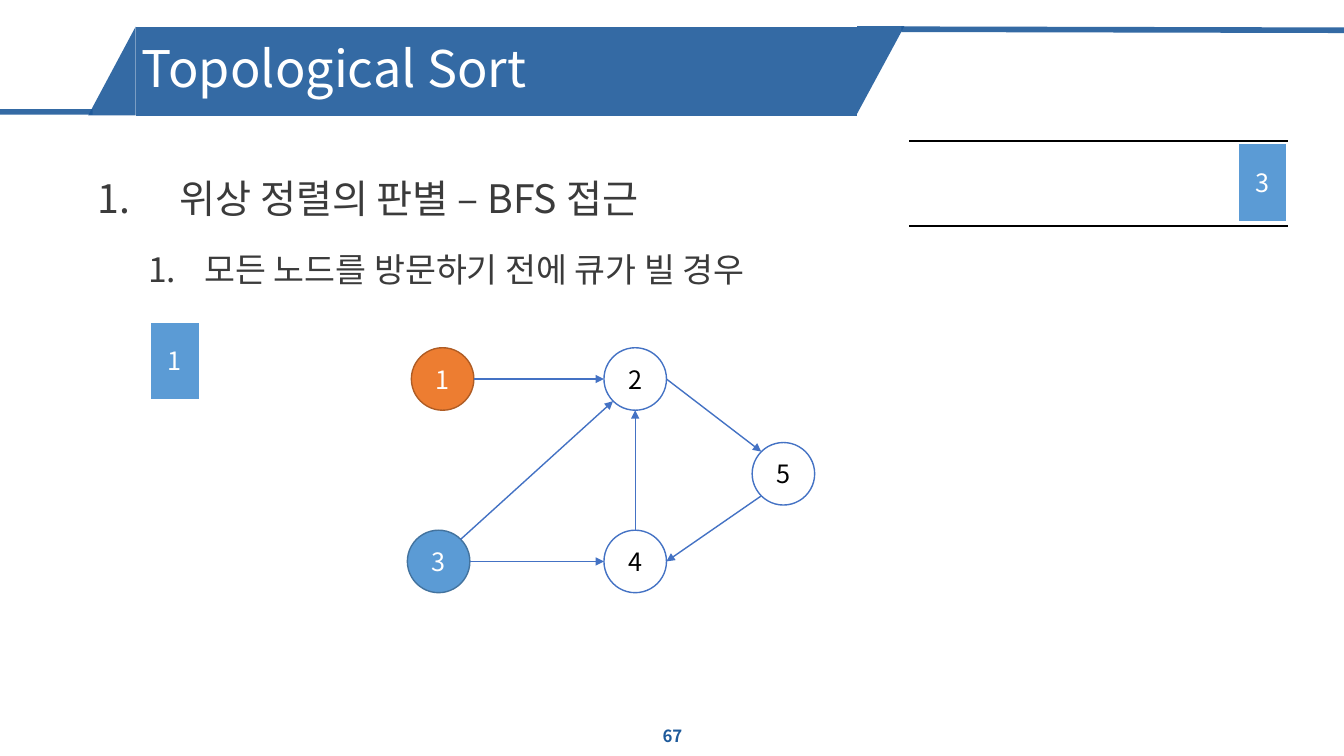
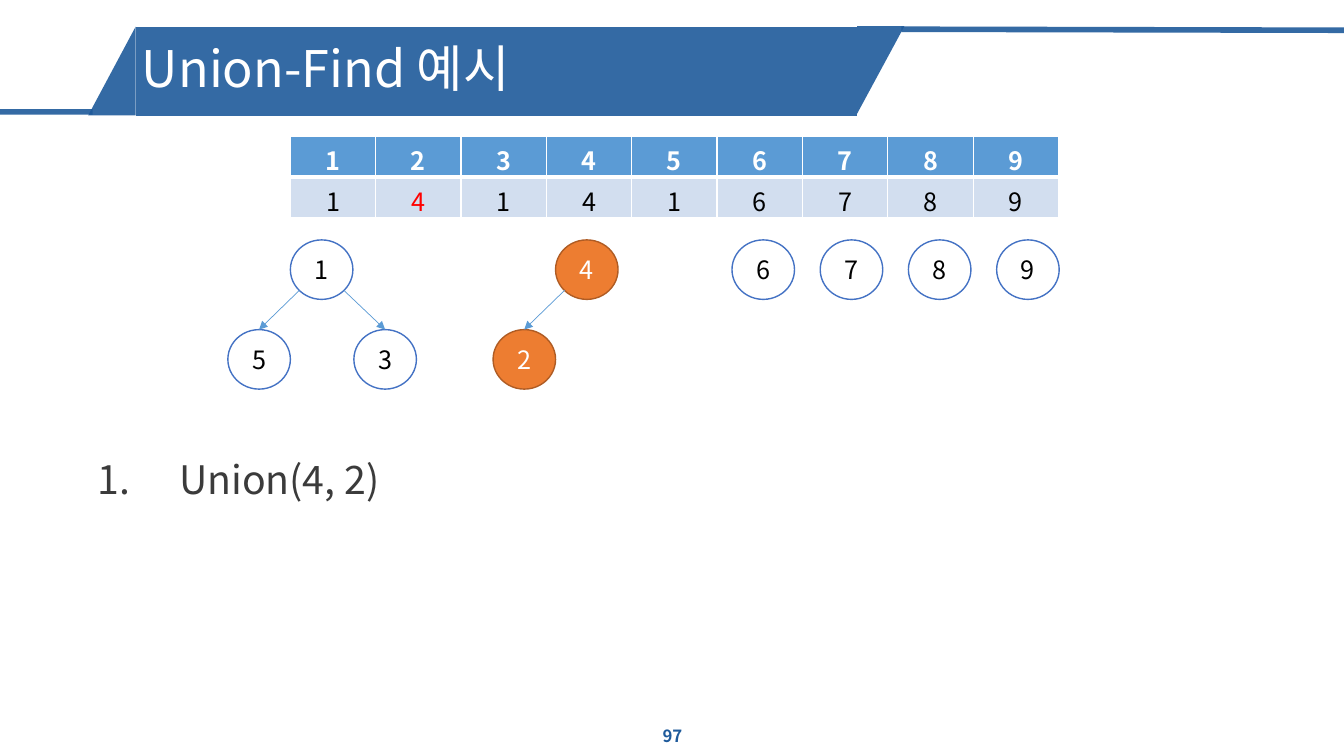
from pptx import Presentation
from pptx.dml.color import RGBColor
from pptx.enum.shapes import MSO_CONNECTOR, MSO_SHAPE
from pptx.enum.text import MSO_ANCHOR, PP_ALIGN
from pptx.oxml.ns import qn
from pptx.util import Inches, Pt
from lxml.etree import SubElement

FONT = "Noto Sans CJK KR"
NAVY, BLUE, PALE, EDGE = "1E5A9B", "5B9BD5", "D2DEEF", "4472C4"
WHITE, BLACK, RED, GREY = "FFFFFF", "000000", "FF0000", "3B3B3B"
BAND_ALPHA = 90

# Node looks: fill, outline, text
PLAIN = (WHITE, EDGE, BLACK)
ACTIVE = ("ED7D31", "AF5C24", WHITE)
QUEUED = (BLUE, "43739E", WHITE)

TITLE = {"size": Pt(36), "color": WHITE}
PAGE_NUMBER = {"size": Pt(12), "bold": True, "color": NAVY}
LABEL = {"size": Pt(18)}
# Outline levels: text size, left margin, hanging indent, space before
LEVELS = [(28, 0.81, -0.81, 10), (24, 1.06, -0.56, 5)]


def rgb(value):
    return RGBColor.from_string(value)


def inches(*lengths):
    return [Inches(length) for length in lengths]


def style(font, formats):
    for key, value in {"name": FONT, **formats}.items():
        if key == "color":
            font.color.rgb = rgb(value)
        else:
            setattr(font, key, value)
    properties = font._element
    for old in properties.findall(qn("a:ea")):
        properties.remove(old)
    SubElement(properties, qn("a:ea"), typeface=FONT)


def write(frame, text, formats, align=PP_ALIGN.CENTER):
    paragraph = frame.paragraphs[0]
    paragraph.alignment = align
    run = paragraph.add_run()
    run.text = text
    style(run.font, formats)
    return paragraph


def set_alpha(element, percent):
    for color in element.iter(qn("a:srgbClr")):
        SubElement(color, qn("a:alpha"), val=str(percent * 1000))


def add_figure(slide, kind, box, fill, outline=None, weight=1, turn=0):
    figure = slide.shapes.add_shape(kind, *inches(*box))
    figure.shadow.inherit = False
    figure.rotation = turn
    figure.fill.solid()
    figure.fill.fore_color.rgb = rgb(fill)
    if outline:
        figure.line.color.rgb = rgb(outline)
        figure.line.width = Pt(weight)
    else:
        figure.line.fill.background()
    return figure


def add_label(figure, text, color):
    frame = figure.text_frame
    frame.vertical_anchor = MSO_ANCHOR.MIDDLE
    for side in ("margin_left", "margin_right"):
        setattr(frame, side, 0)
    write(frame, text, {**LABEL, "color": color})


def add_line(slide, start, end, color, weight, arrow=False):
    line = slide.shapes.add_connector(
        MSO_CONNECTOR.STRAIGHT, *inches(*start, *end))
    line.line.color.rgb = rgb(color)
    line.line.width = Pt(weight)
    if arrow:
        SubElement(line.line._get_or_add_ln(), qn("a:tailEnd"), type="triangle")
    SubElement(line._element.spPr, qn("a:effectLst"))
    return line


def add_text_box(slide, box, anchor=MSO_ANCHOR.TOP):
    frame = slide.shapes.add_textbox(*inches(*box)).text_frame
    frame.word_wrap = True
    frame.vertical_anchor = anchor
    return frame


# Shared frame: title band, rules and page number
def add_frame(deck, title, number):
    slide = deck.slides.add_slide(deck.slide_layouts[6])
    band = [
        add_figure(slide, MSO_SHAPE.RIGHT_TRIANGLE, (8.3, 0.46, 0.87, 0.47), NAVY, turn=90),
        add_line(slide, (0.92, 1.11), (-0.03, 1.11), NAVY, 4),
        add_figure(slide, MSO_SHAPE.RIGHT_TRIANGLE, (0.67, 0.47, 0.88, 0.47), NAVY, turn=270),
        add_line(slide, (13.33, 0.3), (8.94, 0.29), NAVY, 4),
        add_figure(slide, MSO_SHAPE.RECTANGLE, (1.35, 0.27, 7.15, 0.88), NAVY),
    ]
    for part in band:
        set_alpha(part._element.spPr, BAND_ALPHA)
    heading = add_text_box(slide, (1.31, 0.3, 7.15, 0.81), MSO_ANCHOR.MIDDLE)
    write(heading, title, TITLE, PP_ALIGN.LEFT).line_spacing = 0.9
    footer = add_text_box(slide, (5.17, 7.1, 3, 0.4), MSO_ANCHOR.MIDDLE)
    write(footer, str(number), PAGE_NUMBER)
    return slide


# Numbered outline, one level deeper per entry
def add_outline(slide, box, entries):
    frame = add_text_box(slide, box)
    for level, text in enumerate(entries):
        size, margin, indent, before = LEVELS[level]
        paragraph = frame.add_paragraph() if level else frame.paragraphs[0]
        paragraph.level = level
        paragraph.line_spacing = 1.5
        if level:
            paragraph.space_before = Pt(before)
        properties = paragraph._p.get_or_add_pPr()
        properties.set("marL", str(Inches(margin)))
        properties.set("indent", str(Inches(indent)))
        SubElement(properties, qn("a:buFont"), typeface=FONT)
        SubElement(properties, qn("a:buAutoNum"), type="arabicPeriod")
        run = paragraph.add_run()
        run.text = text
        style(run.font, {"size": Pt(size), "color": GREY})


def add_nodes(slide, origin, size, nodes):
    left, top = origin
    for name, (x, y, (fill, outline, color)) in nodes.items():
        circle = add_figure(slide, MSO_SHAPE.OVAL, (left + x, top + y, *size), fill, outline)
        add_label(circle, name, color)


def add_arrows(slide, origin, arrows, color, weight):
    left, top = origin
    for x1, y1, x2, y2 in arrows:
        add_line(slide, (left + x1, top + y1), (left + x2, top + y2), color, weight, True)


# Queue: two rails and its number tiles
def add_queue(slide, left, top, width):
    for y in (top, top + 0.84):
        add_line(slide, (left, y), (left + width, y), BLACK, 1.5)


def add_tile(slide, left, top, text):
    tile = add_figure(slide, MSO_SHAPE.RECTANGLE, (left, top, 0.49, 0.78), BLUE, WHITE, 1.5)
    add_label(tile, text, WHITE)


# Directed graph with a cycle
def add_graph(slide, origin):
    add_nodes(slide, origin, (0.62, 0.62), {
        "1": (0.04, 0, ACTIVE),
        "2": (1.95, 0, PLAIN),
        "4": (1.95, 1.81, PLAIN),
        "5": (3.42, 0.94, PLAIN),
        "3": (0, 1.81, QUEUED),
    })
    add_arrows(slide, origin, [
        (2.57, 0.31, 3.51, 1.03),  # 2 to 5
        (0.66, 0.31, 1.95, 0.31),  # 1 to 2
        (0.62, 2.12, 1.95, 2.12),  # 3 to 4
        (0.53, 1.9, 2.04, 0.53),   # 3 to 2
        (2.26, 1.81, 2.26, 0.62),  # 4 to 2
        (3.51, 1.47, 2.57, 2.12),  # 5 to 4
    ], EDGE, 1)


# Parent table: element above, parent below
def set_borders(cell, bottom):
    properties = cell._tc.get_or_add_tcPr()
    fill = properties.find(qn("a:solidFill"))
    for side, weight in (("L", 1), ("R", 1), ("T", 1), ("B", bottom)):
        border = SubElement(properties, qn(f"a:ln{side}"), w=str(Pt(weight)))
        SubElement(SubElement(border, qn("a:solidFill")), qn("a:srgbClr"), val=WHITE)
    properties.append(fill)


def add_parents(slide, box, parents, changed):
    rows = [[str(n + 1) for n in range(len(parents))], parents]
    table = slide.shapes.add_table(2, len(parents), *inches(*box)).table
    for r, values in enumerate(rows):
        for c, value in enumerate(values):
            cell = table.cell(r, c)
            cell.fill.solid()
            cell.fill.fore_color.rgb = rgb(PALE if r else BLUE)
            color = WHITE if r == 0 else RED if c == changed else BLACK
            write(cell.text_frame, value, {**LABEL, "bold": r == 0, "color": color})
            set_borders(cell, 1 if r else 3)


# Forest of union-find trees
def add_forest(slide, origin):
    root, child = 0, 0.89
    nodes = {
        "1": (0.62, root, PLAIN),
        "2": (2.63, child, ACTIVE),
        "3": (1.25, child, PLAIN),
        "4": (3.25, root, ACTIVE),
        "5": (0, child, PLAIN),
    }
    for step, name in enumerate("6789"):
        nodes[name] = (5 + step * 0.875, root, PLAIN)
    add_nodes(slide, origin, (0.62, 0.59), nodes)
    add_arrows(slide, origin, [
        (1.15, 0.5, 1.56, child),
        (0.71, 0.5, 0.31, child),
        (3.34, 0.5, 2.94, child),
    ], BLUE, 0.5)


def topological_sort(deck):
    slide = add_frame(deck, "Topological Sort", 67)
    add_outline(slide, (0.87, 1.45, 11.48, 5.61), [
        "위상 정렬의 판별 – BFS 접근",
        "모든 노드를 방문하기 전에 큐가 빌 경우",
    ])
    add_queue(slide, 9.02, 1.4, 3.75)
    add_tile(slide, 12.28, 1.42, "3")
    add_tile(slide, 1.49, 3.19, "1")
    add_graph(slide, (4.04, 3.45))


def union_find(deck):
    slide = add_frame(deck, "Union-Find 예시", 97)
    add_outline(slide, (0.87, 4.23, 11.48, 2.84), ["Union(4, 2)"])
    add_forest(slide, (2.26, 2.38))
    add_parents(slide, (2.88, 1.35, 7.62, 0.81), list("141416789"), 1)
    # Parent of 2 is now 4


def main():
    deck = Presentation()
    deck.slide_width, deck.slide_height = inches(13.33, 7.5)
    topological_sort(deck)
    union_find(deck)
    deck.save("out.pptx")


if __name__ == "__main__":
    main()
